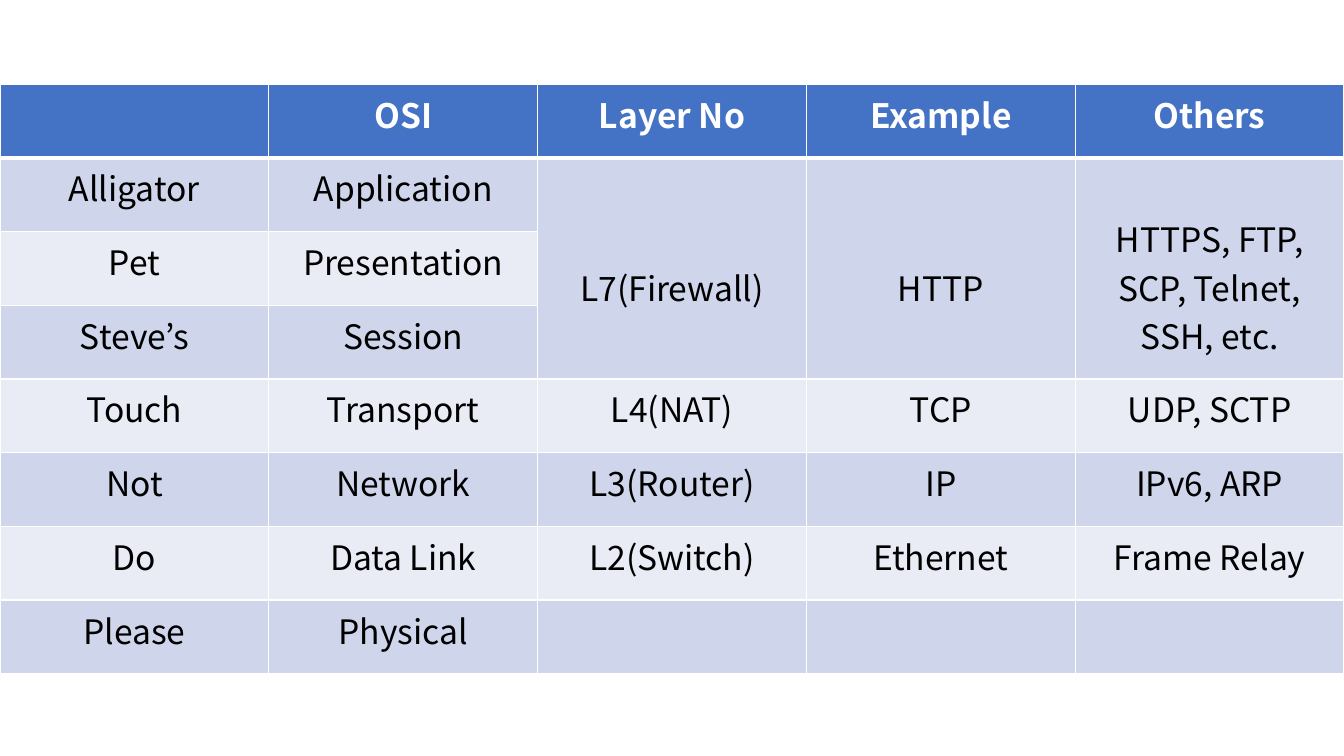
from lxml.etree import SubElement
from pptx import Presentation
from pptx.dml.color import RGBColor
from pptx.enum.text import MSO_ANCHOR as Anchor, PP_ALIGN as Align
from pptx.oxml.ns import qn
from pptx.util import Cm, Pt

FONT = "Noto Sans CJK KR"
WHITE = RGBColor(0xFF, 0xFF, 0xFF)
BLACK = RGBColor(0x00, 0x00, 0x00)
HEADER_BLUE = RGBColor(0x44, 0x72, 0xC4)
BANDS = (RGBColor(0xE9, 0xEB, 0xF5), RGBColor(0xCF, 0xD5, 0xEA))

LAYERS = [
    ("", "OSI", "Layer No", "Example", "Others"),
    ("Alligator", "Application", "L7(Firewall)", "HTTP",
     "HTTPS, FTP, SCP, Telnet, SSH, etc."),
    ("Pet", "Presentation", "", "", ""),
    ("Steve’s", "Session", "", "", ""),
    ("Touch", "Transport", "L4(NAT)", "TCP", "UDP, SCTP"),
    ("Not", "Network", "L3(Router)", "IP", "IPv6, ARP"),
    ("Do", "Data Link", "L2(Switch)", "Ethernet", "Frame Relay"),
    ("Please", "Physical", "", "", ""),
]
MERGED_ROWS = (1, 3)
MERGED_COLUMNS = (2, 3, 4)
MERGED_TOP_MARGIN = Cm(1.04)


def write_text(frame, text, size=24, color=BLACK, bold=False, align=Align.CENTER):
    """Write one formatted paragraph into a text frame."""
    paragraph = frame.paragraphs[0]
    paragraph.alignment = align
    run = paragraph.add_run()
    run.text = text
    run.font.name = FONT
    run.font.size = Pt(size)
    run.font.bold = bold
    run.font.color.rgb = color


def add_borders(cell, color=WHITE, **widths):
    """Draw solid borders, with widths in points keyed by side: L, R, T, B."""
    properties = cell._tc.get_or_add_tcPr()
    for side, width in widths.items():
        line = SubElement(properties, qn(f"a:ln{side}"), w=str(Pt(width)))
        fill = SubElement(line, qn("a:solidFill"))
        SubElement(fill, qn("a:srgbClr"), val=str(color))


def add_layer_table(slide, left, top, width, height):
    """Place the banded table of OSI layers in the given box."""
    row_count, column_count = len(LAYERS), len(LAYERS[0])
    table = slide.shapes.add_table(
        row_count, column_count, left, top, width, height).table
    for column in table.columns:
        column.width = width // column_count
    for row in table.rows:
        row.height = height // row_count

    for row_index, texts in enumerate(LAYERS):
        is_header = row_index == 0
        for column_index, text in enumerate(texts):
            cell = table.cell(row_index, column_index)
            add_borders(cell, L=1, R=1, T=3 if row_index == 1 else 1,
                        B=3 if is_header else 1)
            cell.fill.solid()
            cell.fill.fore_color.rgb = (
                HEADER_BLUE if is_header else BANDS[row_index % 2])
            if text:
                write_text(cell.text_frame, text, bold=is_header,
                           color=WHITE if is_header else BLACK)

    first_row, last_row = MERGED_ROWS
    for column_index in MERGED_COLUMNS:
        cell = table.cell(first_row, column_index)
        cell.merge(table.cell(last_row, column_index))
        cell.vertical_anchor = Anchor.MIDDLE
        cell.margin_top = MERGED_TOP_MARGIN


presentation = Presentation()
presentation.slide_width = Cm(33.87)
presentation.slide_height = Cm(19.05)
blank_layout = presentation.slide_layouts[6]
slide = presentation.slides.add_slide(blank_layout)
add_layer_table(slide, Cm(0), Cm(2.12), presentation.slide_width, Cm(14.86))
presentation.save("out.pptx")
